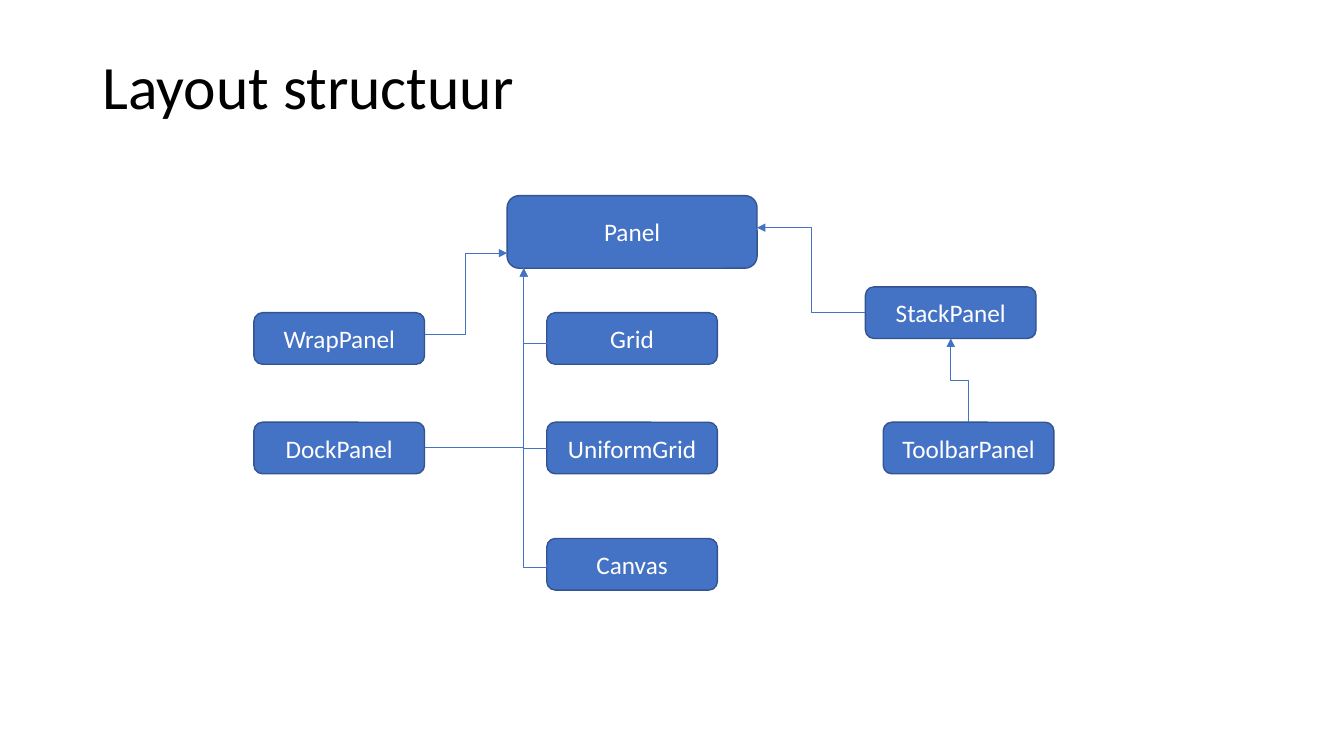
"""Build a slide with the class hierarchy of layout panels."""
from dataclasses import dataclass

from lxml import etree
from pptx import Presentation
from pptx import util as u
from pptx.dml.color import RGBColor
from pptx.enum import shapes, text
from pptx.oxml import ns
from pptx.shapes.connector import Connector
from pptx.slide import Slide
from pptx.text.text import TextFrame

BLUE = RGBColor(0x44, 0x72, 0xC4)
DARK_BLUE = RGBColor(0x32, 0x54, 0x91)
WHITE = RGBColor(0xFF, 0xFF, 0xFF)
BLACK = RGBColor(0x00, 0x00, 0x00)

LEFT_COLUMN, MIDDLE_COLUMN = 6.4, 13.78
UPPER_ROW, MIDDLE_ROW, LOWER_ROW = 7.88, 10.64, 13.57
TRUNK = 13.2
PANEL_BOTTOM = 6.76


@dataclass(frozen=True)
class PanelClass:
    name: str
    left: float
    top: float
    width: float = 4.3
    height: float = 1.3


@dataclass(frozen=True)
class Inheritance:
    start: tuple[float, float]
    end: tuple[float, float]
    bends: int = 2
    upward: bool = False
    bend_at: float = 0.5
    arrow: bool = True


PANEL_CLASSES = [
    PanelClass("Panel", 12.78, 4.93, 6.3, 1.83),
    PanelClass("WrapPanel", LEFT_COLUMN, UPPER_ROW),
    PanelClass("DockPanel", LEFT_COLUMN, MIDDLE_ROW),
    PanelClass("Grid", MIDDLE_COLUMN, UPPER_ROW),
    PanelClass("UniformGrid", MIDDLE_COLUMN, MIDDLE_ROW),
    PanelClass("Canvas", MIDDLE_COLUMN, LOWER_ROW),
    PanelClass("StackPanel", 21.81, 7.23),
    PanelClass("ToolbarPanel", 22.26, MIDDLE_ROW),
]

INHERITANCES = [
    Inheritance((10.7, 8.43), (12.78, 6.38)),
    Inheritance((10.7, 11.27), (13.18, 6.5), bends=1),
    Inheritance((14.3, 8.84), (TRUNK, PANEL_BOTTOM), upward=True, bend_at=0.09),
    Inheritance((MIDDLE_COLUMN, 11.29), (TRUNK, PANEL_BOTTOM), bends=1),
    Inheritance((MIDDLE_COLUMN, 14.22), (TRUNK, PANEL_BOTTOM), upward=True,
                bend_at=-0.01, arrow=False),
    Inheritance((21.81, 7.88), (19.08, 5.74)),
    Inheritance((24.41, MIDDLE_ROW), (23.96, 8.53), upward=True),
]


def write(frame: TextFrame, words: str, *, size: float, color: RGBColor,
          align: text.PP_ALIGN = text.PP_ALIGN.LEFT, spacing: float = 1.0) -> None:
    """Fill a text frame with one vertically centred paragraph."""
    frame.word_wrap = True
    frame.vertical_anchor = text.MSO_ANCHOR.MIDDLE
    paragraph = frame.paragraphs[0]
    paragraph.alignment = align
    paragraph.line_spacing = spacing
    run = paragraph.add_run()
    run.text = words
    run.font.name = "Calibri"
    run.font.size = u.Pt(size)
    run.font.color.rgb = color


def draw_class(slide: Slide, panel: PanelClass) -> None:
    """Draw one class as a rounded box."""
    box = slide.shapes.add_shape(
        shapes.MSO_SHAPE.ROUNDED_RECTANGLE,
        u.Cm(panel.left), u.Cm(panel.top), u.Cm(panel.width), u.Cm(panel.height))
    box.shadow.inherit = False
    box.fill.solid()
    box.fill.fore_color.rgb = BLUE
    box.line.color.rgb = DARK_BLUE
    box.line.width = u.Pt(1)
    write(box.text_frame, panel.name, size=18, color=WHITE, align=text.PP_ALIGN.CENTER)


def add_elbow(slide: Slide, link: Inheritance) -> Connector:
    """Add a bent connector, turned a quarter when it leaves upward."""
    (x1, y1), (x2, y2) = link.start, link.end
    if link.upward:
        center_x, center_y = (x1 + x2) / 2, (y1 + y2) / 2
        half_rise, half_run = (y1 - y2) / 2, (x1 - x2) / 2
        x1, x2 = center_x - half_rise, center_x + half_rise
        y1, y2 = center_y + half_run, center_y - half_run
    elbow = slide.shapes.add_connector(
        shapes.MSO_CONNECTOR.ELBOW, u.Cm(x1), u.Cm(y1), u.Cm(x2), u.Cm(y2))
    if link.upward:
        elbow._element.spPr.find(ns.qn("a:xfrm")).set("rot", str(270 * 60000))
    return elbow


def draw_inheritance(slide: Slide, link: Inheritance) -> None:
    """Draw the line from a class to its parent."""
    elbow = add_elbow(slide, link)
    elbow.line.color.rgb = BLUE
    elbow.line.width = u.Pt(0.5)
    properties = elbow._element.spPr
    geometry = properties.find(ns.qn("a:prstGeom"))
    geometry.set("prst", f"bentConnector{link.bends + 1}")
    if link.bends == 2:
        etree.SubElement(geometry.find(ns.qn("a:avLst")), ns.qn("a:gd"),
                         name="adj1", fmla=f"val {round(link.bend_at * 100000)}")
    if link.arrow:
        etree.SubElement(properties.find(ns.qn("a:ln")), ns.qn("a:tailEnd"), type="triangle")
    etree.SubElement(properties, ns.qn("a:effectLst"))


def main() -> None:
    """Build and save the slide."""
    deck = Presentation()
    deck.slide_width, deck.slide_height = u.Cm(33.87), u.Cm(19.05)
    slide = deck.slides.add_slide(deck.slide_layouts[6])
    title = slide.shapes.add_textbox(u.Cm(2.33), u.Cm(1.14), u.Cm(29.21), u.Cm(2.21))
    write(title.text_frame, "Layout structuur", size=44, color=BLACK, spacing=0.9)
    for panel in PANEL_CLASSES:
        draw_class(slide, panel)
    for link in INHERITANCES:
        draw_inheritance(slide, link)
    deck.save("out.pptx")


if __name__ == "__main__":
    main()
